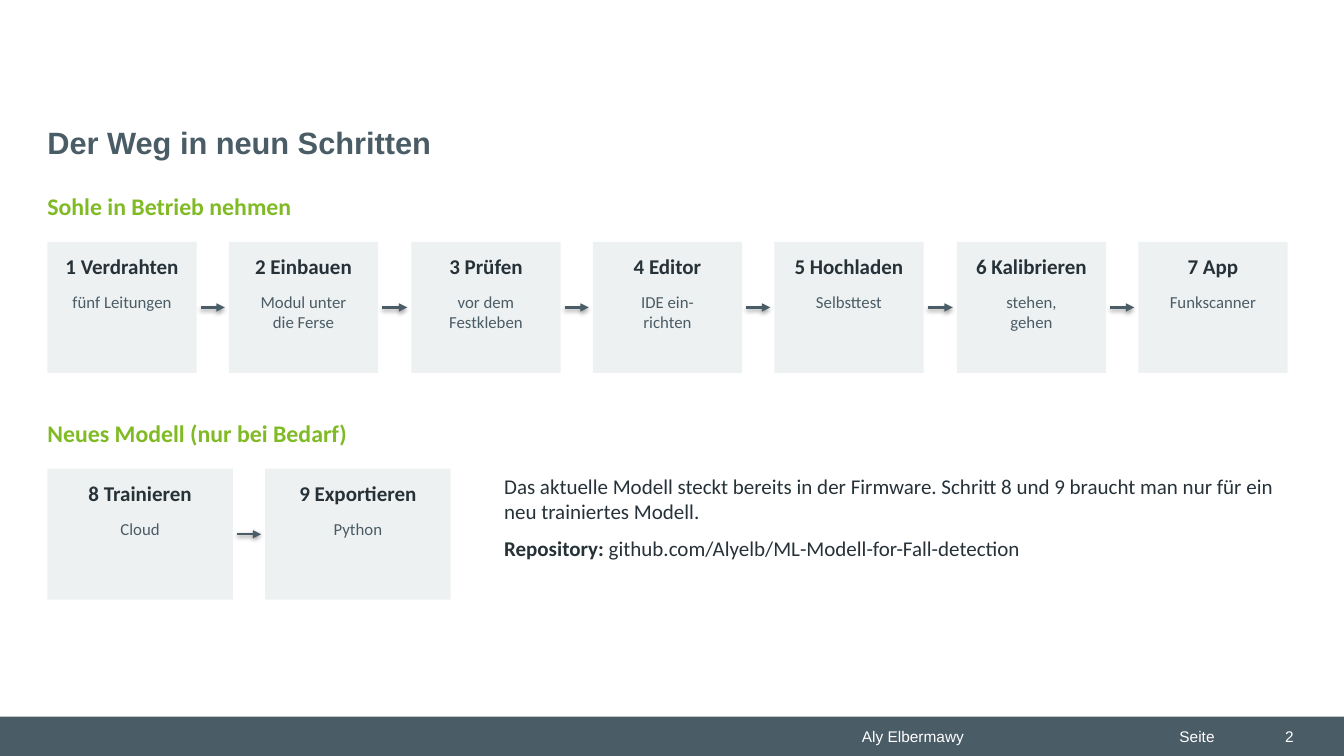
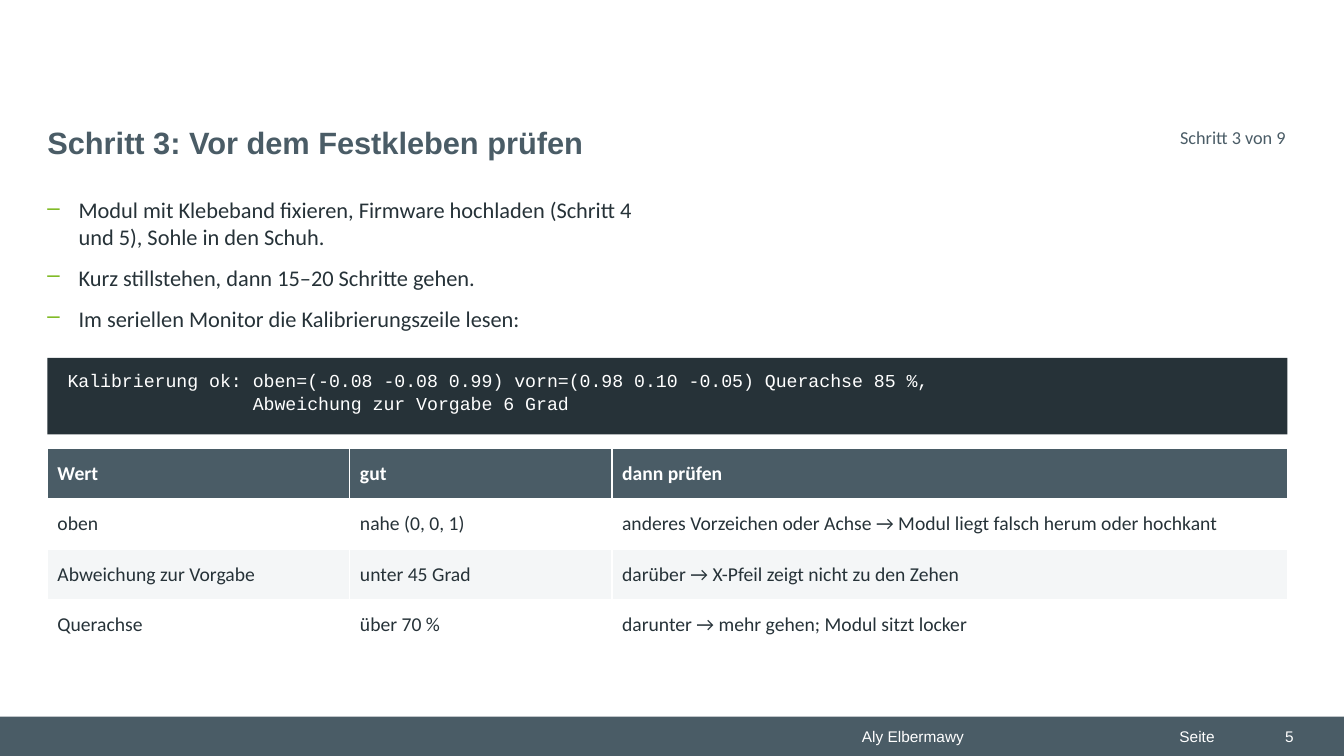
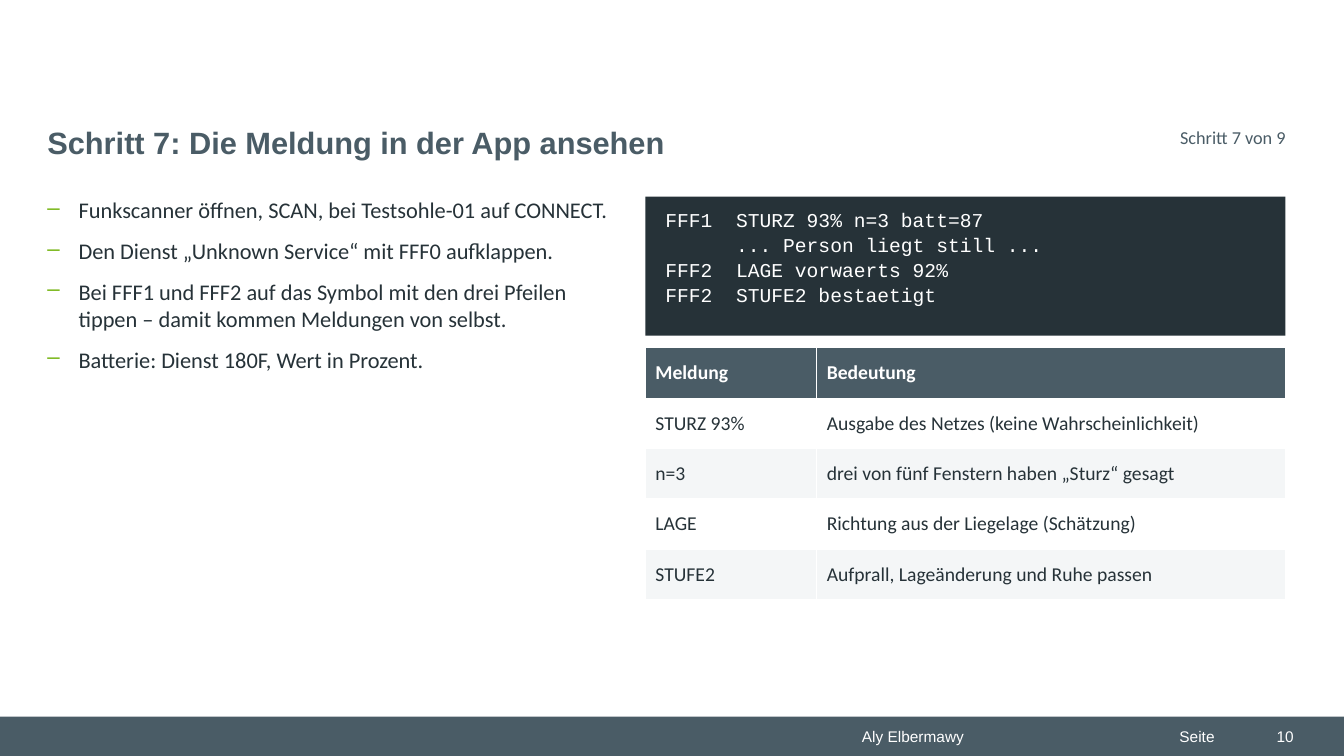
from lxml.etree import SubElement
from pptx import Presentation
from pptx.dml.color import RGBColor
from pptx.enum.shapes import MSO_CONNECTOR, MSO_SHAPE
from pptx.enum.text import MSO_ANCHOR, PP_ALIGN
from pptx.oxml.ns import qn
from pptx.util import Emu, Pt

SLATE = "4A5C66"
DARK = "263238"
GREEN = "80BA24"
CARD = "EEF1F2"
STRIPE = "F4F6F7"
WHITE = "FFFFFF"
BODY_FONT = "Calibri"
TITLE_FONT = "Arial"
CODE_FONT = "Courier New"
LEFT = 47
CONTENT_WIDTH = 1230
ROW_HEIGHT = 50


def px(length):
    return Emu(round(length) * 9144)


def color(hex_value):
    return RGBColor.from_string(hex_value)


def style_run(run, size, hex_value, font=BODY_FONT, bold=False):
    run.font.name = font
    run.font.size = Pt(size)
    run.font.bold = bold
    run.font.color.rgb = color(hex_value)


def style_paragraph(paragraph, size, hex_value, font=BODY_FONT, bold=False,
                    align=PP_ALIGN.LEFT, after=0):
    paragraph.alignment = align
    paragraph.space_after = Pt(after)
    for run in paragraph.runs:
        style_run(run, size, hex_value, font, bold)


def set_margins(target, left, top, right, bottom):
    target.margin_left = px(left)
    target.margin_top = px(top)
    target.margin_right = px(right)
    target.margin_bottom = px(bottom)


def add_bullet(paragraph):
    properties = paragraph._p.get_or_add_pPr()
    properties.set("marL", str(px(31)))
    properties.set("indent", str(-px(31)))
    bullet_color = SubElement(properties, qn("a:buClr"))
    SubElement(bullet_color, qn("a:srgbClr"), val=GREEN)
    SubElement(properties, qn("a:buChar"), char="–")


def add_borders(cell):
    properties = cell._tc.get_or_add_tcPr()
    for side in ("lnL", "lnR", "lnT", "lnB"):
        border = SubElement(properties, qn(f"a:{side}"), w=str(Pt(1)))
        fill = SubElement(border, qn("a:solidFill"))
        SubElement(fill, qn("a:srgbClr"), val=WHITE)


class Deck:
    def __init__(self):
        self.presentation = Presentation()
        self.presentation.slide_width = px(1333)
        self.presentation.slide_height = px(750)
        self.slide = None

    def start_slide(self, title, number, step=None):
        layout = self.presentation.slide_layouts[6]
        self.slide = self.presentation.slides.add_slide(layout)
        self.box(0, 711, 1333, 39, SLATE)
        footer = {"size": 11, "hex_value": WHITE, "font": TITLE_FONT}
        self.text("Aly Elbermawy", 845, 716, 315, 29, (10, 5, 10, 5), **footer)
        self.text("Seite", 1160, 716, 84, 29, (10, 5, 10, 5), **footer)
        page = self.text(str(number), 1223, 716, 70, 29, (10, 5, 10, 5),
                         align=PP_ALIGN.RIGHT, **footer)
        page.vertical_anchor = MSO_ANCHOR.MIDDLE
        self.text(title, LEFT, 118, 1228, 63, (0, 5, 0, 5), size=22,
                  hex_value=SLATE, font=TITLE_FONT, bold=True)
        if step:
            self.text(f"Schritt {step} von 9", 1075, 125, 200, 40, size=13,
                      hex_value=SLATE, align=PP_ALIGN.RIGHT)

    def box(self, left, top, width, height, fill):
        shape = self.slide.shapes.add_shape(
            MSO_SHAPE.RECTANGLE, px(left), px(top), px(width), px(height))
        shape.shadow.inherit = False
        shape.fill.solid()
        shape.fill.fore_color.rgb = color(fill)
        shape.line.fill.background()
        shape.text_frame.word_wrap = True
        shape.text_frame.vertical_anchor = MSO_ANCHOR.TOP
        return shape

    def text(self, content, left, top, width, height, margins=(0, 0, 0, 0), **style):
        shape = self.slide.shapes.add_textbox(px(left), px(top), px(width), px(height))
        frame = shape.text_frame
        frame.word_wrap = True
        set_margins(frame, *margins)
        frame.text = content
        for paragraph in frame.paragraphs:
            style_paragraph(paragraph, **style)
        return frame

    def heading(self, content, top):
        self.text(content, LEFT, top, 600, 40, size=17, hex_value=GREEN, bold=True)

    def bullets(self, items, width, height):
        frame = self.text("\n".join(items), LEFT, 195, width, height,
                          size=16, hex_value=DARK, after=10)
        for paragraph in frame.paragraphs:
            add_bullet(paragraph)

    def code(self, lines, left, top, width, height, size):
        frame = self.box(left, top, width, height, DARK).text_frame
        set_margins(frame, 20, 11, 20, 0)
        frame.text = "\n".join(lines)
        for paragraph in frame.paragraphs:
            style_paragraph(paragraph, size, WHITE, CODE_FONT, after=1)

    def card(self, title, detail, left, top, width, height):
        frame = self.box(left, top, width, height, CARD).text_frame
        set_margins(frame, 8, 12, 8, 5)
        frame.text = f"{title}\n{detail}"
        name, *details = frame.paragraphs
        style_paragraph(name, 15, DARK, bold=True, align=PP_ALIGN.CENTER, after=9)
        for paragraph in details:
            style_paragraph(paragraph, 12, SLATE, align=PP_ALIGN.CENTER)

    def arrow(self, start, end, middle):
        connector = self.slide.shapes.add_connector(
            MSO_CONNECTOR.STRAIGHT, px(start), px(middle), px(end), px(middle))
        connector.line.color.rgb = color(SLATE)
        connector.line.width = Pt(1.75)
        SubElement(connector.line._get_or_add_ln(), qn("a:tailEnd"), type="triangle")

    def flow(self, steps, top, width, pitch):
        height = 130
        for index, (title, detail) in enumerate(steps):
            left = LEFT + index * pitch
            self.card(title, detail, left, top, width, height)
            if index < len(steps) - 1:
                self.arrow(left + width + 4, left + pitch - 4, top + height / 2)

    def table(self, rows, left, top, widths):
        frame = self.slide.shapes.add_table(
            len(rows), len(widths), px(left), px(top),
            px(sum(widths)), px(ROW_HEIGHT * len(rows)))
        table = frame.table
        table.horz_banding = False
        for column, width in zip(table.columns, widths):
            column.width = px(width)
        for row_index, row in enumerate(rows):
            is_header = row_index == 0
            fill = SLATE if is_header else (STRIPE, WHITE)[row_index % 2]
            table.rows[row_index].height = px(ROW_HEIGHT)
            for column_index, content in enumerate(row):
                cell = table.cell(row_index, column_index)
                cell.vertical_anchor = MSO_ANCHOR.MIDDLE
                set_margins(cell, 10, 3, 10, 3)
                add_borders(cell)
                cell.fill.solid()
                cell.fill.fore_color.rgb = color(fill)
                cell.text_frame.text = content
                style_paragraph(cell.text_frame.paragraphs[0], 14,
                                WHITE if is_header else DARK, bold=is_header)


def build_overview(deck):
    deck.start_slide("Der Weg in neun Schritten", 2)
    deck.heading("Sohle in Betrieb nehmen", 190)
    setup_steps = [
        ("1 Verdrahten", "fünf Leitungen"),
        ("2 Einbauen", "Modul unter\ndie Ferse"),
        ("3 Prüfen", "vor dem\nFestkleben"),
        ("4 Editor", "IDE ein-\nrichten"),
        ("5 Hochladen", "Selbsttest"),
        ("6 Kalibrieren", "stehen,\ngehen"),
        ("7 App", "Funkscanner"),
    ]
    width = 148
    deck.flow(setup_steps, 240, width, (CONTENT_WIDTH - width) / (len(setup_steps) - 1))
    deck.heading("Neues Modell (nur bei Bedarf)", 415)
    deck.flow([("8 Trainieren", "Cloud"), ("9 Exportieren", "Python")], 465, 184, 216)
    note = deck.text(
        "Das aktuelle Modell steckt bereits in der Firmware. Schritt 8 und 9 "
        "braucht man nur für ein neu trainiertes Modell.\nRepository: ",
        500, 470, 775, 200, size=15, hex_value=DARK, after=8)
    repository = note.paragraphs[1]
    repository.runs[0].font.bold = True
    address = repository.add_run()
    address.text = "github.com/Alyelb/ML-Modell-for-Fall-detection"
    style_run(address, 15, DARK)


def build_check(deck):
    deck.start_slide("Schritt 3: Vor dem Festkleben prüfen", 5, step=3)
    deck.bullets([
        "Modul mit Klebeband fixieren, Firmware hochladen (Schritt 4 und 5), "
        "Sohle in den Schuh.",
        "Kurz stillstehen, dann 15–20 Schritte gehen.",
        "Im seriellen Monitor die Kalibrierungszeile lesen:",
    ], 600, 150)
    deck.code([
        "Kalibrierung ok: oben=(-0.08 -0.08 0.99) vorn=(0.98 0.10 -0.05) Querachse 85 %,",
        "                 Abweichung zur Vorgabe 6 Grad",
    ], LEFT, 355, CONTENT_WIDTH, 76, 13)
    deck.table([
        ("Wert", "gut", "dann prüfen"),
        ("oben", "nahe (0, 0, 1)",
         "anderes Vorzeichen oder Achse → Modul liegt falsch herum oder hochkant"),
        ("Abweichung zur Vorgabe", "unter 45 Grad",
         "darüber → X-Pfeil zeigt nicht zu den Zehen"),
        ("Querachse", "über 70 %", "darunter → mehr gehen; Modul sitzt locker"),
    ], LEFT, 445, (300, 260, 670))


def build_message(deck):
    deck.start_slide("Schritt 7: Die Meldung in der App ansehen", 10, step=7)
    deck.bullets([
        "Funkscanner öffnen, SCAN, bei Testsohle-01 auf CONNECT.",
        "Den Dienst „Unknown Service“ mit FFF0 aufklappen.",
        "Bei FFF1 und FFF2 auf das Symbol mit den drei Pfeilen tippen – damit "
        "kommen Meldungen von selbst.",
        "Batterie: Dienst 180F, Wert in Prozent.",
    ], 560, 480)
    deck.code([
        "FFF1  STURZ 93% n=3 batt=87",
        "      ... Person liegt still ...",
        "FFF2  LAGE vorwaerts 92%",
        "FFF2  STUFE2 bestaetigt",
    ], 640, 195, 635, 138, 14)
    deck.table([
        ("Meldung", "Bedeutung"),
        ("STURZ 93%", "Ausgabe des Netzes (keine Wahrscheinlichkeit)"),
        ("n=3", "drei von fünf Fenstern haben „Sturz“ gesagt"),
        ("LAGE", "Richtung aus der Liegelage (Schätzung)"),
        ("STUFE2", "Aufprall, Lageänderung und Ruhe passen"),
    ], 640, 345, (170, 465))


def main():
    deck = Deck()
    build_overview(deck)
    build_check(deck)
    build_message(deck)
    deck.presentation.save("out.pptx")


if __name__ == "__main__":
    main()
